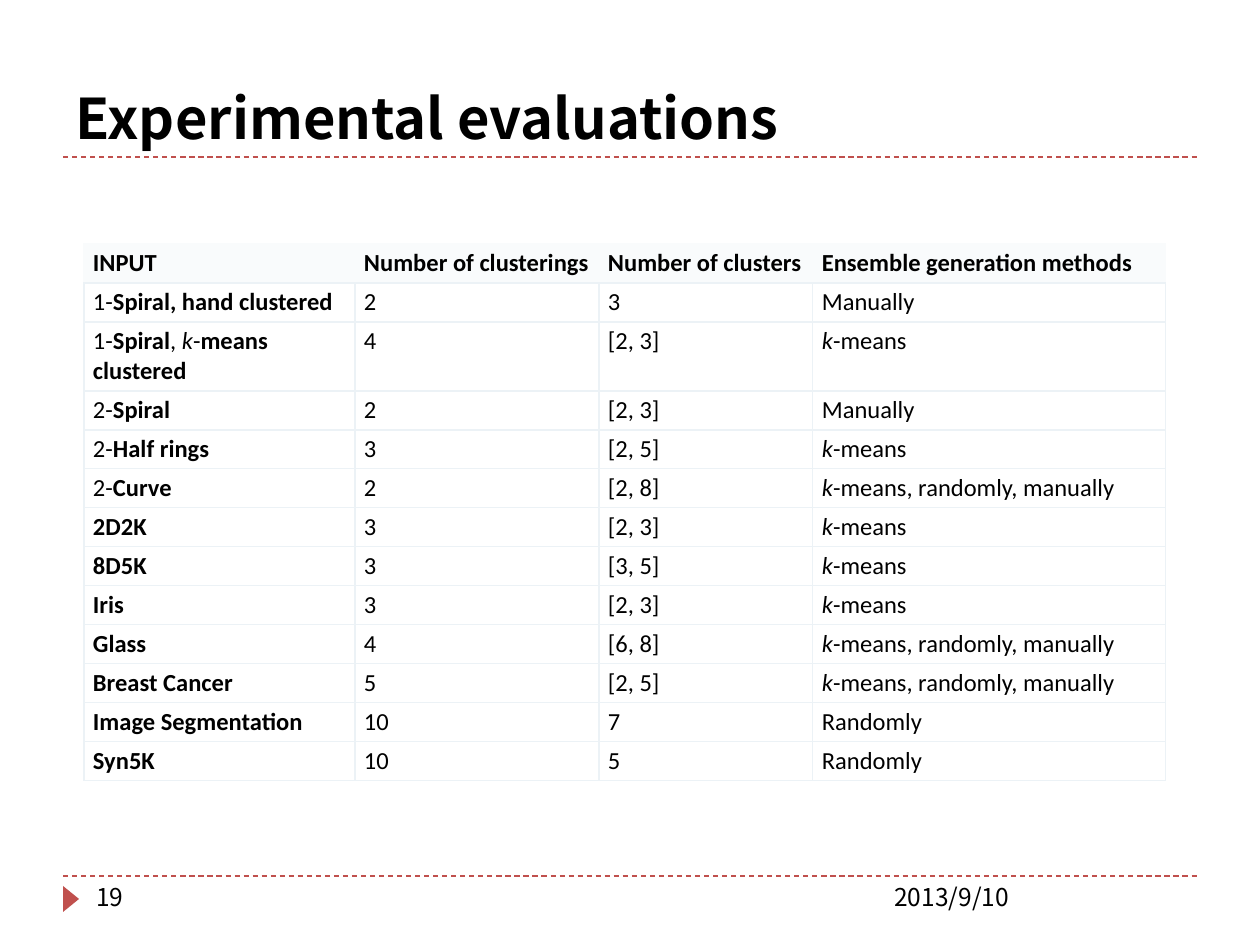
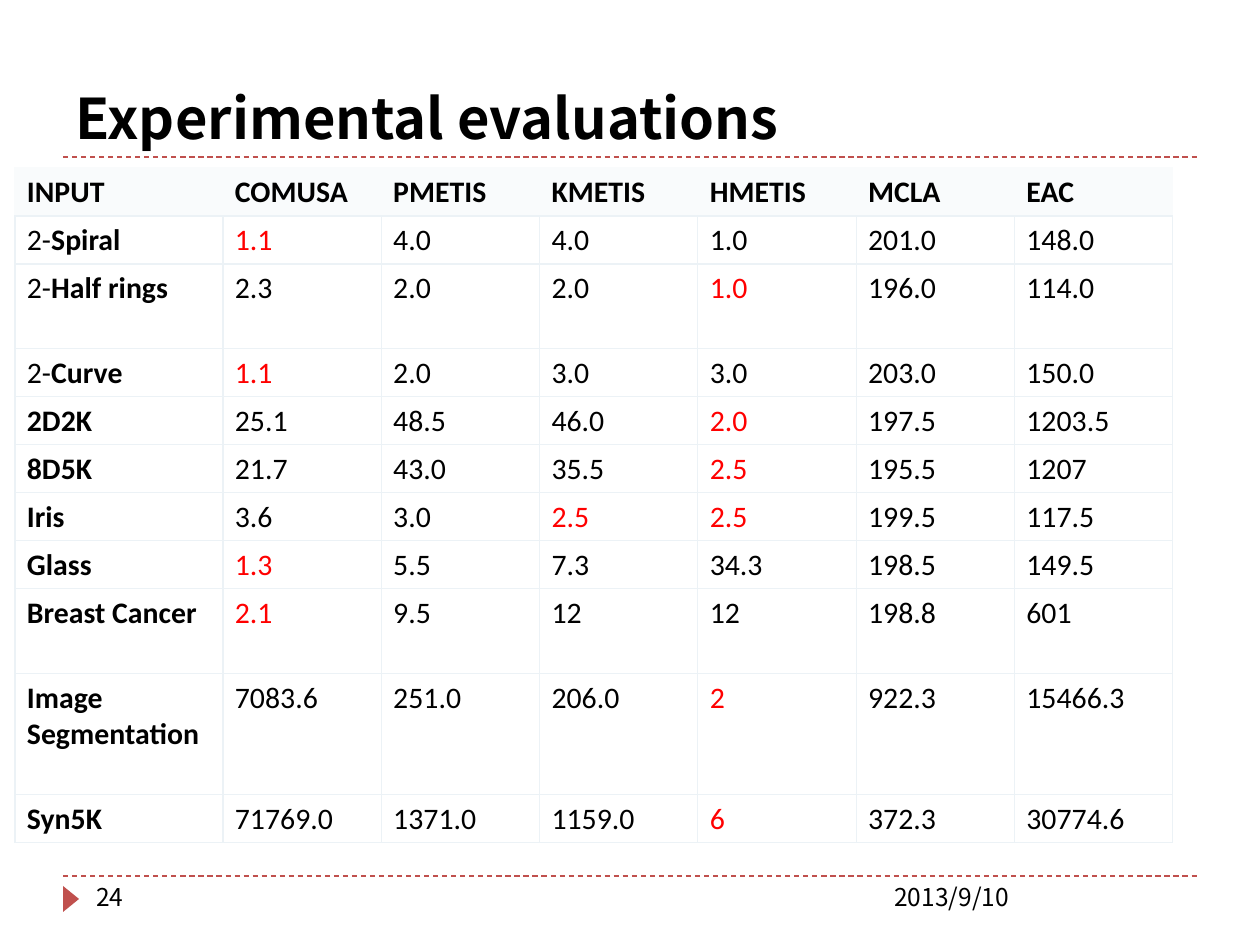
from lxml import etree
from pptx import Presentation
from pptx import util as u
from pptx.dml.color import RGBColor
from pptx.enum import dml, shapes, text
from pptx.oxml import ns

COLORS = {
    "text": "000000",
    "best": "FF0000",
    "accent": "C0504D",
    "header": "F9FBFC",
    "body": "FFFFFF",
    "grid": "ECF2F6",
}
HEADING_FONT = "Noto Sans CJK SC"
TABLE_FONT = "Calibri"
EMU_PER_PX = 914400 / 126

# Inline marks: "|" separates runs, and a run may start with one of these
MARKS = {"*": {"bold": True}, "_": {"italic": True}, "!": {"color": "best"}}

DATASETS = ["2-|*Spiral", "2-|*Half rings", "2-|*Curve", "*2D2K", "*8D5K", "*Iris",
            "*Glass", "*Breast Cancer", "*Image Segmentation", "*Syn5K"]
K_MEANS = "_k|-means"
MIXED = "_k|-means, randomly, manually"

SETUP_HEADER = ["*INPUT", "*Number of clusterings", "*Number of clusters",
                "*Ensemble generation methods"]
SPIRAL_SETUPS = [
    ["1-|*Spiral, hand clustered", "2", "3", "Manually"],
    ["1-|*Spiral|, |_k|-|*means clustered", "4", "[2, 3]", K_MEANS],
]
DATASET_SETUPS = [
    ["2", "[2, 3]", "Manually"],
    ["3", "[2, 5]", K_MEANS],
    ["2", "[2, 8]", MIXED],
    ["3", "[2, 3]", K_MEANS],
    ["3", "[3, 5]", K_MEANS],
    ["3", "[2, 3]", K_MEANS],
    ["4", "[6, 8]", MIXED],
    ["5", "[2, 5]", MIXED],
    ["10", "7", "Randomly"],
    ["10", "5", "Randomly"],
]

RESULT_HEADER = ["*INPUT", "*COMUSA", "*PMETIS", "*KMETIS", "*HMETIS", "*MCLA", "*EAC"]
RESULTS = [
    ["!1.1", "4.0", "4.0", "1.0", "201.0", "148.0"],
    ["2.3", "2.0", "2.0", "!1.0", "196.0", "114.0"],
    ["!1.1", "2.0", "3.0", "3.0", "203.0", "150.0"],
    ["25.1", "48.5", "46.0", "!2.0", "197.5", "1203.5"],
    ["21.7", "43.0", "35.5", "!2.5", "195.5", "1207"],
    ["3.6", "3.0", "!2.5", "!2.5", "199.5", "117.5"],
    ["!1.3", "5.5", "7.3", "34.3", "198.5", "149.5"],
    ["!2.1", "9.5", "12", "12", "198.8", "601"],
    ["7083.6", "251.0", "206.0", "!2", "922.3", "15466.3"],
    ["71769.0", "1371.0", "1159.0", "!6", "372.3", "30774.6"],
]


def px(length):
    return u.Emu(round(length * EMU_PER_PX))


def rgb(name):
    return RGBColor.from_string(COLORS[name])


def set_attributes(target, values):
    for name, value in values.items():
        setattr(target, name, value)


def format_font(font, name, size, bold=False, italic=False, color="text"):
    set_attributes(font, {"name": name, "size": u.Pt(size), "bold": bold, "italic": italic})
    font.color.rgb = rgb(color)


# Shared frame: title, rules, marker and footer

def set_title(slide, wording):
    title = slide.shapes.title
    set_attributes(title, {"left": px(63), "top": px(21), "width": px(1134), "height": px(136)})
    frame = title.text_frame
    frame.text = wording
    set_attributes(frame, {"auto_size": text.MSO_AUTO_SIZE.NONE, "word_wrap": True,
                           "vertical_anchor": text.MSO_ANCHOR.BOTTOM})
    paragraph = frame.paragraphs[0]
    paragraph.alignment = text.PP_ALIGN.LEFT
    format_font(paragraph.runs[0].font, HEADING_FONT, 32, bold=True)


def add_dashed_rule(slide, top):
    rule = slide.shapes.add_connector(shapes.MSO_CONNECTOR.STRAIGHT,
                                      px(63), px(top), px(1197), px(top))
    set_attributes(rule.line, {"width": u.Pt(0.75), "dash_style": dml.MSO_LINE.DASH})
    rule.line.color.rgb = rgb("accent")
    etree.SubElement(rule._element.spPr, ns.qn("a:effectLst"))


def add_marker(slide):
    marker = slide.shapes.add_shape(shapes.MSO_SHAPE.ISOSCELES_TRIANGLE,
                                    px(58), px(891), px(26), px(16))
    marker.rotation = 90
    marker.shadow.inherit = False
    marker.fill.solid()
    marker.fill.fore_color.rgb = rgb("accent")
    marker.line.fill.background()


def add_footer_text(slide, wording, left, width):
    box = slide.shapes.add_textbox(px(left), px(876), px(width), px(50))
    box.text_frame.word_wrap = True
    run = box.text_frame.paragraphs[0].add_run()
    run.text = wording
    format_font(run.font, HEADING_FONT, 14)


def add_evaluation_slide(presentation, number):
    slide = presentation.slides.add_slide(presentation.slide_layouts[5])
    for top in (876, 157):
        add_dashed_rule(slide, top)
    add_marker(slide)
    set_title(slide, "Experimental evaluations")
    add_footer_text(slide, "2013/9/10", 882, 315)
    add_footer_text(slide, str(number), 84, 273)
    return slide


# Tables

def set_borders(cell, side_colors):
    properties = cell._tc.get_or_add_tcPr()
    for position, (side, color) in enumerate(side_colors.items()):
        line = etree.Element(ns.qn(f"a:ln{side}"), w=str(u.Pt(0.75)))
        fill = etree.SubElement(line, ns.qn("a:solidFill"))
        etree.SubElement(fill, ns.qn("a:srgbClr"), val=COLORS[color])
        properties.insert(position, line)


def fill_cell(cell, marked_text, size, margins, is_header):
    set_attributes(cell, {name: px(value) for name, value in margins.items()})
    cell.fill.solid()
    cell.fill.fore_color.rgb = rgb("header" if is_header else "body")
    edge = "header" if is_header else "grid"
    set_borders(cell, {"L": edge, "R": edge, "T": edge, "B": "grid"})
    paragraph = cell.text_frame.paragraphs[0]
    for part in marked_text.split("|"):
        style = MARKS.get(part[0], {})
        run = paragraph.add_run()
        run.text = part[1:] if style else part
        format_font(run.font, TABLE_FONT, size, **style)


def add_grid(slide, left, top, rows, widths, heights, size, margins):
    frame = slide.shapes.add_table(len(rows), len(widths), px(left), px(top),
                                   px(sum(widths)), px(sum(heights)))
    table = frame.table
    table.horz_banding = False
    for column, width in zip(table.columns, widths):
        column.width = px(width)
    for row, height in zip(table.rows, heights):
        row.height = px(height)
    for row_index, row in enumerate(rows):
        for column_index, marked_text in enumerate(row):
            fill_cell(table.cell(row_index, column_index), marked_text, size, margins,
                      is_header=row_index == 0)


def label_rows(rows):
    return [[dataset, *row] for dataset, row in zip(DATASETS, rows)]


def main():
    presentation = Presentation()
    set_attributes(presentation, {"slide_width": px(1260), "slide_height": px(945)})

    # Inputs and how their ensembles are generated
    slide = add_evaluation_slide(presentation, 19)
    add_grid(slide, 84, 244, [SETUP_HEADER, *SPIRAL_SETUPS, *label_rows(DATASET_SETUPS)],
             widths=[271, 244, 214, 353], heights=[39, 39, 69] + [39] * 10, size=14,
             margins={"margin_left": 9, "margin_right": 9,
                      "margin_top": 4, "margin_bottom": 5})

    # Results of each method, best ones in red
    slide = add_evaluation_slide(presentation, 24)
    add_grid(slide, 15, 168, [RESULT_HEADER, *label_rows(RESULTS)],
             widths=[208] + [950 / 6] * 6,
             heights=[48, 48, 85, 48, 48, 48, 48, 48, 85, 121, 48], size=17,
             margins={"margin_left": 12, "margin_right": 12,
                      "margin_top": 6, "margin_bottom": 6})

    presentation.save("out.pptx")


if __name__ == "__main__":
    main()
